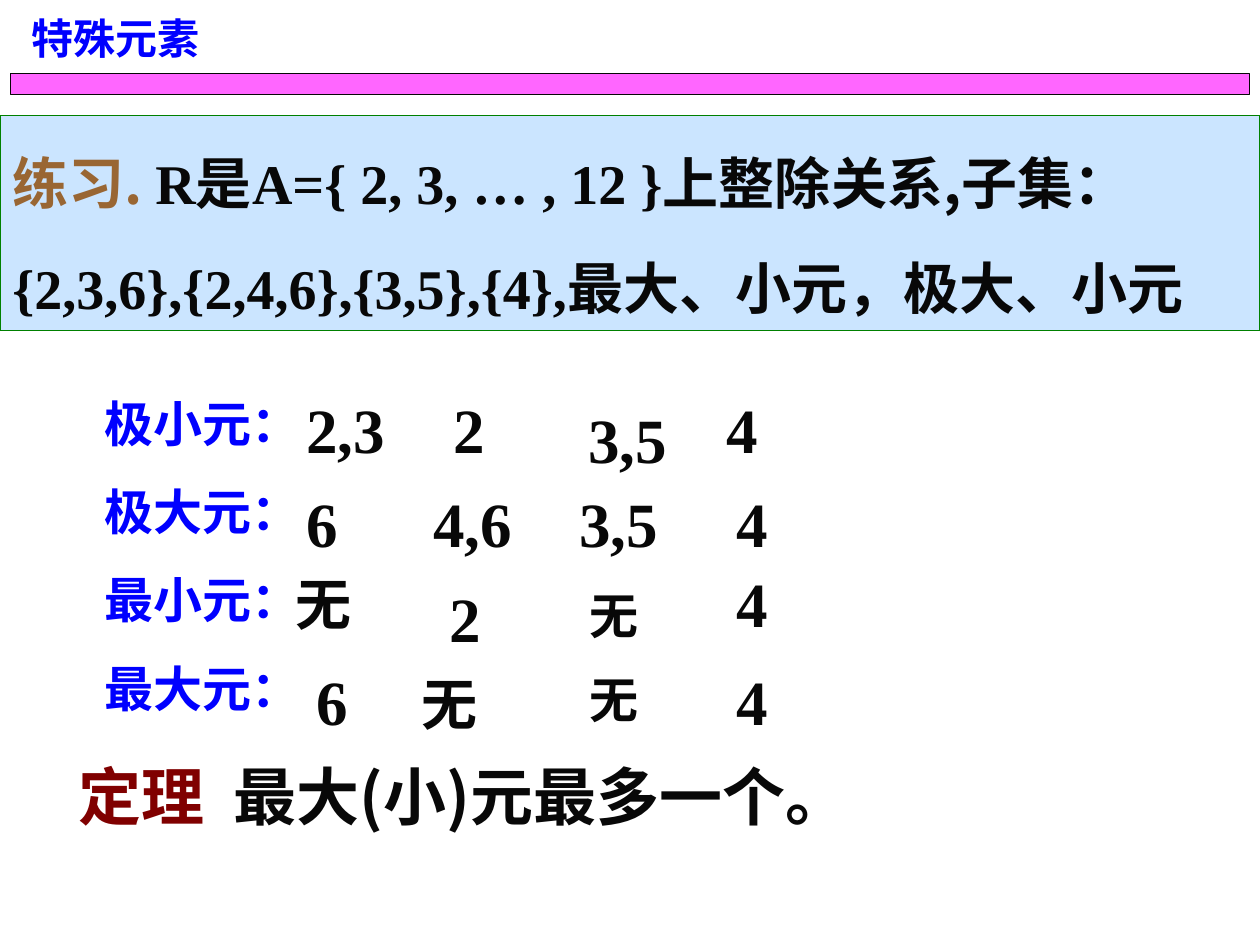
import pptx
import pptx.util
import pptx.dml.color
import pptx.enum.shapes
import pptx.enum.text
import pptx.oxml
import pptx.oxml.ns

Pt = pptx.util.Pt
CJK, SERIF, SANS = "Noto Sans CJK SC", "Times New Roman", "Arial"
COLORS = {
    "ink": "080808", "blue": "0000FF", "brown": "996633", "maroon": "800000",
    "pink": "FF00FF", "sky": "CBE5FF", "green": "008000",
}


def rgb(name):
    return pptx.dml.color.RGBColor.from_string(COLORS[name])


def add_child(parent, tag, **attributes):
    child = pptx.oxml.parse_xml(f"<a:{tag} {pptx.oxml.ns.nsdecls('a')}/>")
    for key, value in attributes.items():
        child.set(key, value)
    parent.append(child)


class Page:
    """Holds the text style and the current slide."""

    def __init__(self, deck, spacing=1.5):
        self.slide = deck.slides.add_slide(deck.slide_layouts[5])
        self.spacing = spacing

    def span(self, para, text, font=CJK, size=36, color="ink"):
        run = para.add_run()
        run.text = text
        run.font.name = font
        run.font.size = Pt(size)
        run.font.bold = True
        run.font.color.rgb = rgb(color)
        add_child(run._r.get_or_add_rPr(), "ea", typeface=CJK)

    def fill_text(self, shape, paras, wrap=True, spacing=None, before=0, hanging=0):
        """Fill a shape with paragraphs, each a list of (text, format) spans."""
        frame = shape.text_frame
        frame.word_wrap = wrap
        frame.auto_size = pptx.enum.text.MSO_AUTO_SIZE.SHAPE_TO_FIT_TEXT
        frame.vertical_anchor = pptx.enum.text.MSO_ANCHOR.TOP
        for index, spans in enumerate(paras):
            para = frame.add_paragraph() if index else frame.paragraphs[0]
            para.alignment = pptx.enum.text.PP_ALIGN.LEFT
            para.line_spacing = spacing or self.spacing
            if index and before:
                para.space_before = Pt(before)
            if hanging:
                properties = para._p.get_or_add_pPr()
                properties.set("marL", str(Pt(hanging)))
                properties.set("indent", str(-Pt(hanging)))
            for text, style in spans:
                self.span(para, text, **style)

    def title(self, text, left, top, width, height, **style):
        title = self.slide.shapes.title
        title.left, title.top = Pt(left), Pt(top)
        title.width, title.height = Pt(width), Pt(height)
        self.fill_text(title, [[(text, style)]])

    def bar(self, left, top, width, height, fill, line, opacity=None):
        shape = self.slide.shapes.add_shape(
            pptx.enum.shapes.MSO_SHAPE.RECTANGLE,
            Pt(left), Pt(top), Pt(width), Pt(height))
        shape.shadow.inherit = False
        shape.fill.solid()
        shape.fill.fore_color.rgb = rgb(fill)
        shape.line.color.rgb = rgb(line)
        shape.line.width = Pt(0.75)
        if opacity:
            color = shape._element.spPr.find(".//" + pptx.oxml.ns.qn("a:srgbClr"))
            add_child(color, "alpha", val=str(opacity * 1000))
        return shape

    def text(self, paras, left, top, width, height, **layout):
        box = self.slide.shapes.add_textbox(
            Pt(left), Pt(top), Pt(width), Pt(height))
        self.fill_text(box, paras, **layout)

    def answer(self, text, left, top, font=SERIF, size=36):
        if text == "无":
            width, height = size + 14, size * 1.8 + 7
        else:
            width, height = 14.4 + size * (0.5 if len(text) == 1 else 1.25), 72
        self.text([[(text, {"font": font, "size": size})]],
                  left, top, width, height, wrap=False)


def main():
    deck = pptx.Presentation()
    deck.slide_width, deck.slide_height = Pt(720), Pt(540)
    page = Page(deck)

    page.bar(6, 42, 708, 12, "pink", "ink", opacity=60)
    page.title("特殊元素", 10.8, -10.8, 145.5, 50.4,
               font=SANS, size=24, color="blue")

    exercise = page.bar(0, 66, 720, 123, "sky", "green")
    latin = {"font": SERIF, "size": 32}
    page.fill_text(exercise, [
        [("练习. ", {"size": 32, "color": "brown"}),
         ("R是A={ 2, 3, … , 12 }", latin),
         ("上整除关系,子集：", {"size": 32})],
        [("{2,3,6},{2,4,6},{3,5},{4},最大、小元，极大、小元", latin)],
    ], spacing=1.4, before=6.4, hanging=36)

    labels = ["极小元：", "极大元：", "最小元：", "最大元："]
    page.text([[(label, {"size": 28, "color": "blue"})] for label in labels],
              52.5, 204.5, 181.5, 209.5)
    page.text([[("定理  ", {"color": "maroon"}), ("最大(小)元最多一个。", {})]],
              38, 408, 562, 72)

    # One column per subset: minimal, maximal, least, greatest
    large_none = {"size": 32}
    small_none = {"size": 28, "font": SANS}
    columns = [
        [("2,3", 168, 198, {}), ("6", 168, 252, {}),
         ("无", 162, 302.5, large_none), ("6", 174, 353.5, {})],
        [("2", 252, 198, {}), ("4,6", 240.5, 252, {}),
         ("2", 250, 306, {}), ("无", 234, 360, large_none)],
        [("3,5", 329, 204, {}), ("3,5", 324, 252, {}),
         ("无", 330, 314, small_none), ("无", 330, 362, small_none)],
        [("4", 408, 198, {}), ("4", 414, 252, {}),
         ("4", 414, 297.5, {}), ("4", 414, 353.5, {})],
    ]
    for column in columns:
        for text, left, top, style in column:
            page.answer(text, left, top, **style)

    deck.save("out.pptx")


if __name__ == "__main__":
    main()
